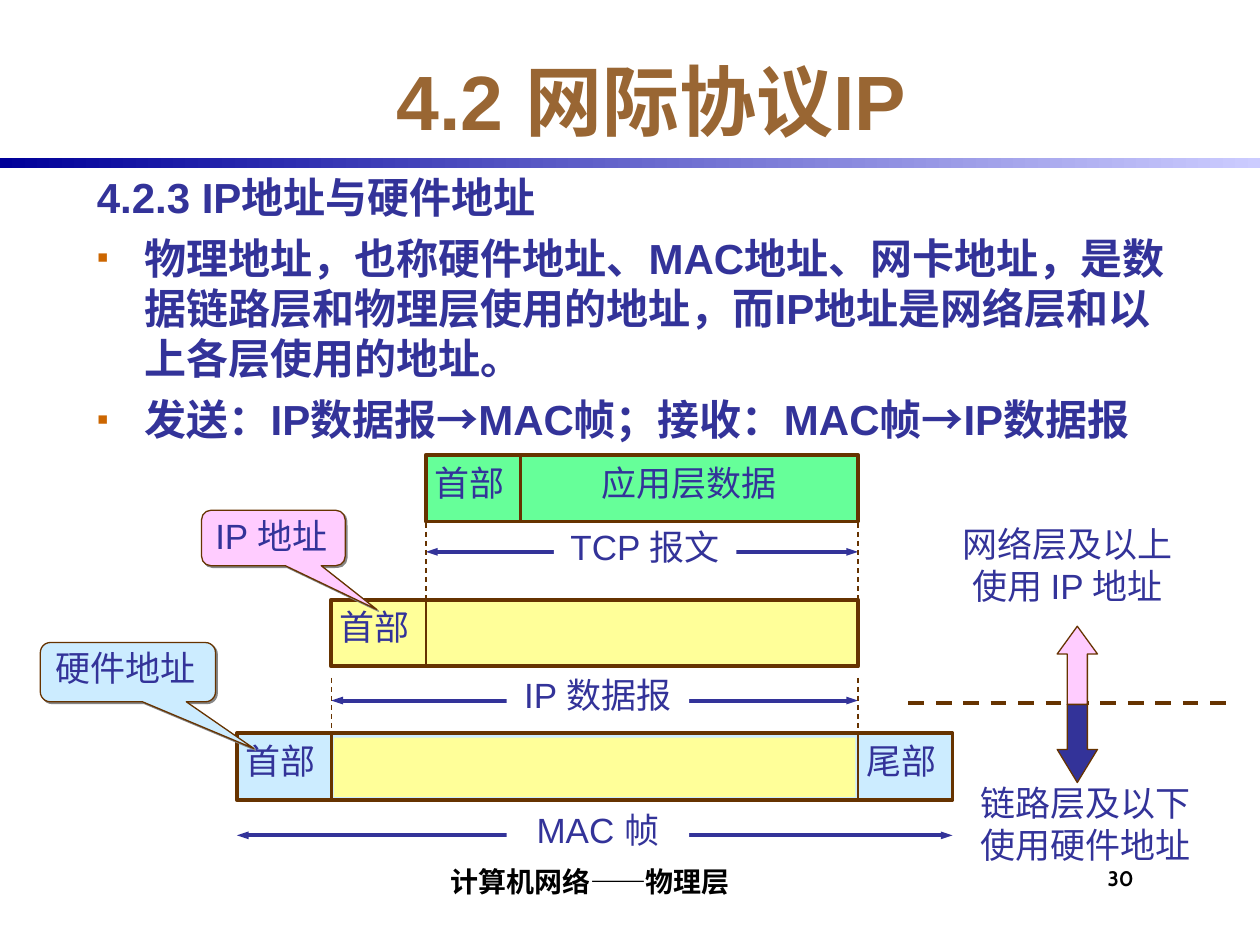
import pptx
import pptx.util
import pptx.dml.color
import pptx.enum.dml
import pptx.enum.shapes
import pptx.enum.text
import pptx.oxml
import pptx.oxml.ns

COLS, ROWS = 100, 75
WIDE, HIGH = pptx.util.Inches(10), pptx.util.Inches(7.5)
EDGES = [18.8, 26.3, 33.8, 68.1, 75.6]  # columns shared by all frames
CELL = 5.3  # rows in one frame

HUES = {
    "ink": "333399", "title": "996633", "edge": "663300", "bullet": "CC6600",
    "green": "66FF99", "yellow": "FFFF99", "blue": "CCECFF", "pink": "FFCCFF",
    "deep": "000099", "pale": "CCCCFF", "shade": "868686",
    "white": "FFFFFF", "black": "000000",
}
SHAPE = pptx.enum.shapes.MSO_SHAPE
ALIGN = pptx.enum.text.PP_ALIGN
ANCHOR = pptx.enum.text.MSO_ANCHOR
DASH = pptx.enum.dml.MSO_LINE.DASH


def rgb(hue):
    return pptx.dml.color.RGBColor.from_string(HUES[hue])


def spot(x, y):
    return round(x * WIDE / COLS), round(y * HIGH / ROWS)


def place(box):
    return spot(*box[:2]) + spot(*box[2:])


def node(tag, inner="", **attrs):
    """Make one DrawingML element."""
    given = " ".join(f'{key}="{val}"' for key, val in attrs.items())
    space = pptx.oxml.ns.nsdecls("a")
    return pptx.oxml.parse_xml(f"<a:{tag} {space} {given}>{inner}</a:{tag}>")


def bullet(para):
    props = para._p.get_or_add_pPr()
    props.append(node("buClr", f'<a:srgbClr val="{HUES["bullet"]}"/>'))
    props.append(node("buSzPct", val=80000))
    props.append(node("buFont", typeface="Arial"))
    props.append(node("buChar", char="▪"))


def write(shape, lines, size=20, hue="ink", font="Arial", bold=False,
          align=ALIGN.CENTER, anchor=ANCHOR.TOP, wrap=False,
          inset=(0.1, 0.05, 0.1, 0.05), gap=0, hang=0, dots=()):
    """Fill a shape with lines; dots holds the numbers of bulleted ones."""
    frame = shape.text_frame
    frame.word_wrap, frame.vertical_anchor = wrap, anchor
    (frame.margin_left, frame.margin_top,
     frame.margin_right, frame.margin_bottom) = map(pptx.util.Inches, inset)
    for num, line in enumerate(lines):
        para = frame.add_paragraph() if num else frame.paragraphs[0]
        if hang:
            props = para._p.get_or_add_pPr()
            step = pptx.util.Inches(hang)
            props.set("marL", str(step))
            props.set("indent", str(-step))
        if num in dots:
            bullet(para)
        para.alignment = align
        para.space_before = pptx.util.Pt(gap if num else 0)
        run = para.add_run()
        run.text = line
        run.font.size, run.font.bold = pptx.util.Pt(size), bold
        run.font.name, run.font.color.rgb = font, rgb(hue)


def label(slide, box, *lines, **form):
    write(slide.shapes.add_textbox(*place(box)), lines, **form)


def block(slide, kind, box, fill, line=None, bends=()):
    """Add a preset shape; line is its width in points."""
    shape = slide.shapes.add_shape(kind, *place(box))
    shape.shadow.inherit = False
    shape.fill.solid()
    shape.fill.fore_color.rgb = rgb(fill)
    if line:
        shape.line.width = pptx.util.Pt(line)
        shape.line.color.rgb = rgb("edge")
    else:
        shape.line.fill.background()
    for num, bend in enumerate(bends):
        shape.adjustments[num] = bend
    return shape


def rule(slide, start, end, width, hue="edge", dash=None, heads=False):
    """Draw a straight line between two grid points."""
    line = slide.shapes.add_connector(
        pptx.enum.shapes.MSO_CONNECTOR.STRAIGHT, *spot(*start), *spot(*end))
    line.line.width = pptx.util.Pt(width)
    line.line.color.rgb = rgb(hue)
    if dash:
        line.line.dash_style = dash
    if heads:
        for tag in ("headEnd", "tailEnd"):
            line.line._get_or_add_ln().append(
                node(tag, type="triangle", w="sm", len="med"))
    line._element.spPr.append(node("effectLst"))


def header(slide, box):
    """Title above a fading bar at the foot of the box."""
    x, y, w, h = box
    label(slide, (x + 9.2, y + 3.3, 85, 9.2), "4.2 网际协议IP", size=44,
          hue="title", bold=True, anchor=ANCHOR.MIDDLE, wrap=True)
    bar = block(slide, SHAPE.RECTANGLE, (x, y + h - 0.8, w, 0.8), "deep")
    bar.fill.gradient()
    bar.fill.gradient_angle = 0
    for stop, hue in zip(bar.fill.gradient_stops, ("deep", "pale")):
        stop.color.rgb = rgb(hue)


def body(slide, box):
    label(slide, box, "4.2.3 IP地址与硬件地址",
          "物理地址，也称硬件地址、MAC地址、网卡地址，是数据链路层和物理层使用的地址，"
          "而IP地址是网络层和以上各层使用的地址。",
          "发送：IP数据报→MAC帧；接收：MAC帧→IP数据报",
          size=24, bold=True, align=ALIGN.LEFT, wrap=True,
          gap=6, hang=0.38, dots=(1, 2))


def packet(slide, box, fill, cuts, words, name, drop, hang=None):
    """Frame split at cuts, its name on a span arrow, dashed guides below."""
    x, y, w, h = box
    end, base = x + w, y + drop
    rule(slide, (x, base), (end, base), 2.25, "ink", heads=True)
    tag = block(slide, SHAPE.RECTANGLE,
                (x + w / 2 - 7, base - 2.6, 14.5, 4.4), "white")
    write(tag, [name])
    if hang:
        for side in (x, end):
            rule(slide, (side, y + hang[0]), (side, y + hang[1]), 0.75,
                 dash=DASH)
    block(slide, SHAPE.RECTANGLE, box, fill, 2.25)
    if len(cuts) > 1:
        left, right = cuts
        block(slide, SHAPE.RECTANGLE,
              (left + 0.2, y + 0.35, right - left - 0.4, h - 0.6), "yellow")
    for cut in cuts:
        rule(slide, (cut, y), (cut, y + h), 1.5)
    sides = [x, *cuts, end]
    for left, right, word in zip(sides, sides[1:], words):
        shift = 0.3 if right - left < 10 else 0
        if word:
            label(slide, (left - shift, y, right - left, 4.4), word,
                  inset=(0, 0.05, 0, 0.05))


def stack(slide, top):
    """Three frames, each wrapping the one above."""
    mac, net, tcp, tail, end = EDGES
    packet(slide, (tcp, top, tail - tcp, CELL), "green", [41.3],
           ["首部", "应用层数据"], "TCP 报文", 7.7, (5.4, 11.5))
    packet(slide, (net, top + 11.5, tail - net, CELL), "yellow", [tcp],
           ["首部", ""], "IP 数据报", 8, (6.2, 10.6))
    packet(slide, (mac, top + 22.1, end - mac, CELL), "blue", [net, tail],
           ["首部", "", "尾部"], "MAC 帧", 8.1)


def callout(slide, box, word, fill):
    shape = block(slide, SHAPE.ROUNDED_RECTANGULAR_CALLOUT, box, fill, 0.75,
                  (0.72, 1.29, 0.17))
    glow = node("outerShdw", f'<a:srgbClr val="{HUES["shade"]}"/>',
                dist=pptx.util.Pt(1.4), dir=45 * 60000)
    shape._element.spPr.find(pptx.oxml.ns.qn("a:effectLst")).append(glow)
    write(shape, [word], inset=(0, 0.01, 0.03, 0))


def layers(slide, box):
    """Two arrows leaving a dashed border, with a note at each end."""
    x, y, w, h = box
    mid = y + h / 2
    rule(slide, (x, mid - 0.1), (x + w, mid - 0.1), 2.25, dash=DASH)
    left = x + 11.8
    block(slide, SHAPE.DOWN_ARROW, (left, mid, 3.2, 6.2), "ink", 0.75,
          (0.5, 0.82))
    block(slide, SHAPE.UP_ARROW, (left, mid - 6.2, 3.2, 6.2), "pink", 0.75,
          (0.5, 0.69))
    label(slide, (x + 3.1, y, 19.1, 7.7), "网络层及以上", "使用 IP 地址")
    label(slide, (x + 4.7, y + 20.5, 18.7, 7.7), "链路层及以下", "使用硬件地址")


def footer(slide, box):
    x, y, w, h = box
    form = dict(hue="black", font="Cabin", bold=True, wrap=True)
    label(slide, (x, y, 51.7, 4.2), "计算机网络——物理层", size=16,
          anchor=ANCHOR.BOTTOM, inset=(0.04, 0, 0, 0.04), **form)
    label(slide, (x + w - 5.8, y + h - 4.2, 5.8, 4.2), "30", size=12,
          align=ALIGN.LEFT, inset=(0.04, 0.04, 0, 0), **form)


def main():
    deck = pptx.Presentation()
    deck.slide_width, deck.slide_height = WIDE, HIGH
    slide = deck.slides.add_slide(deck.slide_layouts[6])
    header(slide, (0, 0, COLS, 13.3))
    body(slide, (6.7, 13.1, 87.4, 50))
    stack(slide, 36.1)
    layers(slide, (72.1, 41, 25.2, 29.8))
    callout(slide, (16, 40.5, 11.4, 4.4), "IP 地址", "pink")
    callout(slide, (3.2, 51, 13.9, 4.7), "硬件地址", "blue")
    footer(slide, (20.8, 67.5, 72.5, 5))
    deck.save("out.pptx")


if __name__ == "__main__":
    main()
